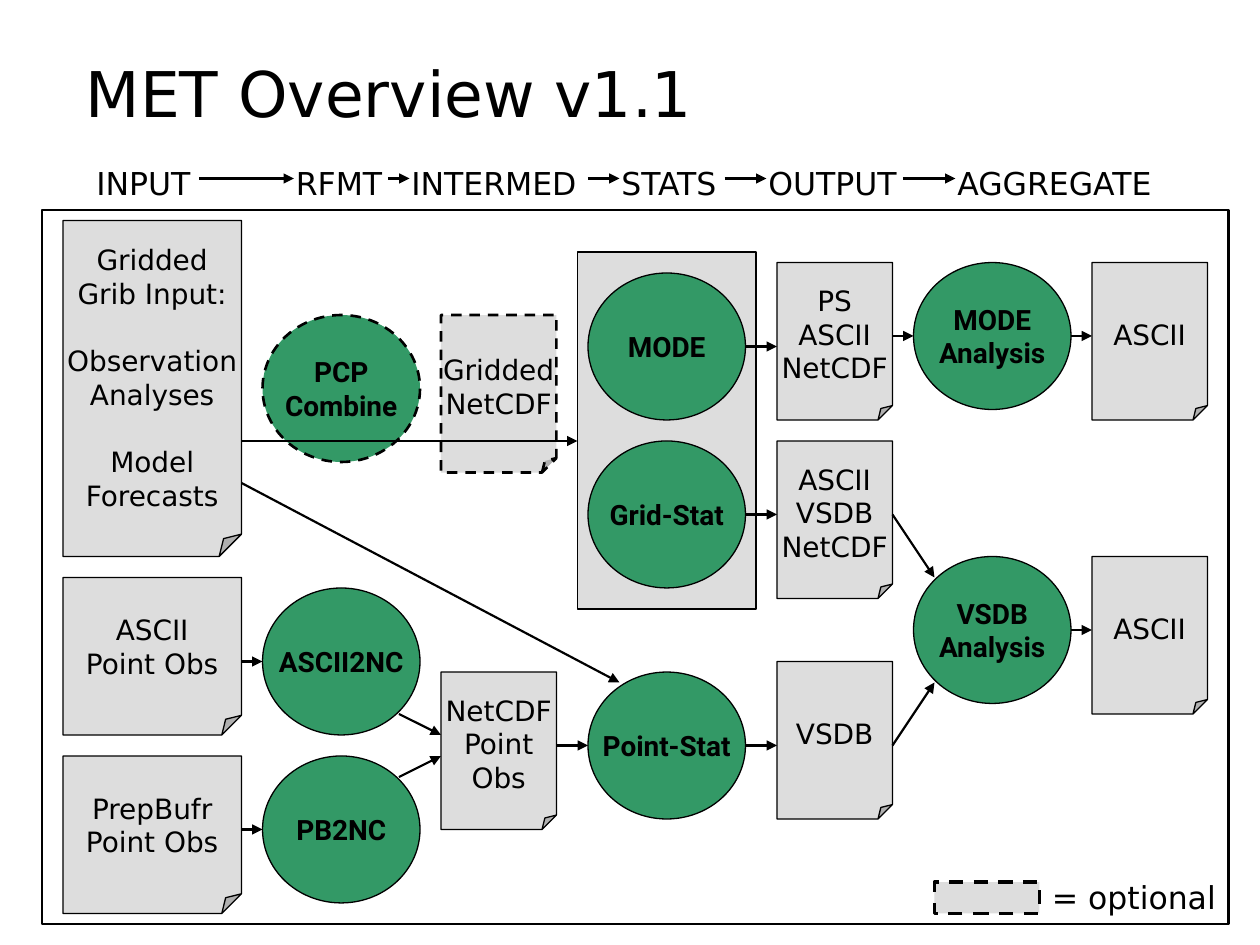
from lxml import etree
from pptx import Presentation
from pptx.dml.color import RGBColor
from pptx.enum.dml import MSO_LINE
from pptx.enum.shapes import MSO_CONNECTOR, MSO_SHAPE
from pptx.enum.text import MSO_ANCHOR, PP_ALIGN
from pptx.oxml.ns import qn
from pptx.util import Cm, Pt

OVAL, NOTE, RECT = MSO_SHAPE.OVAL, MSO_SHAPE.FOLDED_CORNER, MSO_SHAPE.RECTANGLE
STRAIGHT, DASH = MSO_CONNECTOR.STRAIGHT, MSO_LINE.DASH
LEFT, CENTER = PP_ALIGN.LEFT, PP_ALIGN.CENTER
TOP, MIDDLE, BOTTOM = MSO_ANCHOR.TOP, MSO_ANCHOR.MIDDLE, MSO_ANCHOR.BOTTOM
UNIT = Cm(2.54) // 12
BLACK, GRAY, GREEN = "000000", "DDDDDD", "339966"


def paint(fill, color):
    fill.solid()
    fill.fore_color.rgb = RGBColor.from_string(color)


def write(shape, text, font="DejaVu Sans", size=18, bold=False,
          align=LEFT, anchor=TOP, wrap=True):
    frame = shape.text_frame
    frame.word_wrap = wrap
    frame.vertical_anchor = anchor
    for group_index, group in enumerate(text.split("|")):
        for line_index, line in enumerate(group.split("\n")):
            first = group_index == line_index == 0
            para = frame.paragraphs[0] if first else frame.add_paragraph()
            para.alignment = align
            if group_index and not line_index:
                para.space_before = Pt(19.2)
            span = para.add_run()
            span.text = line
            span.font.name = font
            span.font.size = Pt(size)
            span.font.bold = bold
            paint(span.font.fill, BLACK)


deck = Presentation()
deck.slide_width, deck.slide_height = Cm(25.4), Cm(19.05)
page = deck.slides.add_slide(deck.slide_layouts[6])

for left, top, width, height, fill, weight, dashed in [
    (55, 24, 17, 34, GRAY, 0.75, False),
    (4, 20, 113, 68, None, 1.5, False),
    (89, 84, 10, 3, GRAY, 2, True),
]:
    panel = page.shapes.add_shape(RECT, left * UNIT, top * UNIT, width * UNIT, height * UNIT)
    panel.shadow.inherit = False
    if fill:
        paint(panel.fill, fill)
    else:
        panel.fill.background()
    paint(panel.line.fill, BLACK)
    panel.line.width = Pt(weight)
    if dashed:
        panel.line.dash_style = DASH

notes = [
    (6, 21, 17, 32, "Gridded\nGrib Input:|Observation\nAnalyses|Model\nForecasts"),
    (6, 55, 17, 15, "ASCII\nPoint Obs"),
    (6, 72, 17, 15, "PrepBufr\nPoint Obs"),
    (42, 30, 11, 15, "Gridded\nNetCDF"),
    (42, 64, 11, 15, "NetCDF\nPoint\nObs"),
    (74, 25, 11, 15, "PS\nASCII\nNetCDF"),
    (74, 42, 11, 15, "ASCII\nVSDB\nNetCDF"),
    (74, 63, 11, 15, "VSDB"),
    (104, 25, 11, 15, "ASCII"),
    (104, 53, 11, 15, "ASCII"),
]
tools = [
    (25, 30, 15, 14, "PCP\nCombine"),
    (25, 56, 15, 14, "ASCII2NC"),
    (25, 72, 15, 14, "PB2NC"),
    (56, 26, 15, 14, "MODE"),
    (56, 42, 15, 14, "Grid-Stat"),
    (56, 64, 15, 14, "Point-Stat"),
    (87, 25, 15, 14, "MODE\nAnalysis"),
    (87, 53, 15, 14, "VSDB\nAnalysis"),
]
optional = ["Gridded\nNetCDF", "PCP\nCombine"]

for kind, fill, font, nodes in [
    (NOTE, GRAY, "DejaVu Sans", notes),
    (OVAL, GREEN, "Roboto", tools),
]:
    for left, top, width, height, text in nodes:
        node = page.shapes.add_shape(kind, left * UNIT, top * UNIT, width * UNIT, height * UNIT)
        node.shadow.inherit = False
        if kind == NOTE:
            guides = node._element.spPr.find(qn("a:prstGeom")).find(qn("a:avLst"))
            etree.SubElement(guides, qn("a:gd"), name="adj", fmla="val 12500")
        paint(node.fill, fill)
        paint(node.line.fill, BLACK)
        node.line.width = Pt(0.75)
        if text in optional:
            node.line.width = Pt(1.5)
            node.line.dash_style = DASH
        write(node, text, font=font, size=16, bold=kind == OVAL,
              align=CENTER, anchor=MIDDLE, wrap=False)

title = page.shapes.add_textbox(7 * UNIT, 2 * UNIT, 105 * UNIT, 11 * UNIT)
write(title, "MET Overview v1.1", size=36, anchor=BOTTOM)

for left, top, width, text in [
    (8, 15, 12, "INPUT"),
    (27, 15, 11, "RFMT"),
    (38, 15, 19, "INTERMED"),
    (58, 15, 13, "STATS"),
    (72, 15, 15, "OUTPUT"),
    (90, 15, 24, "AGGREGATE"),
    (99, 83, 18, "= optional"),
]:
    label = page.shapes.add_textbox(left * UNIT, top * UNIT, width * UNIT, 5 * UNIT)
    write(label, text)

stage_arrows = [(start, 17, end, 17) for start, end in
                [(19, 28), (37, 39), (56, 59), (69, 73), (86, 91)]]
flow_arrows = [
    (23, 42, 55, 42), (23, 46, 59, 65), (23, 63, 25, 63), (23, 79, 25, 79),
    (38, 68, 42, 70), (38, 74, 42, 72), (53, 71, 56, 71),
    (71, 33, 74, 33), (71, 49, 74, 49), (71, 71, 74, 71),
    (85, 32, 87, 32), (85, 49, 89, 55), (85, 71, 89, 65),
    (102, 32, 104, 32), (102, 60, 104, 60),
]
for ends in stage_arrows + flow_arrows:
    arrow = page.shapes.add_connector(STRAIGHT, *[end * UNIT for end in ends])
    paint(arrow.line.fill, BLACK)
    arrow.line.width = Pt(1.25)
    properties = arrow._element.spPr
    etree.SubElement(properties.find(qn("a:ln")), qn("a:tailEnd"), type="triangle")
    etree.SubElement(properties, qn("a:effectLst"))

deck.save("out.pptx")
